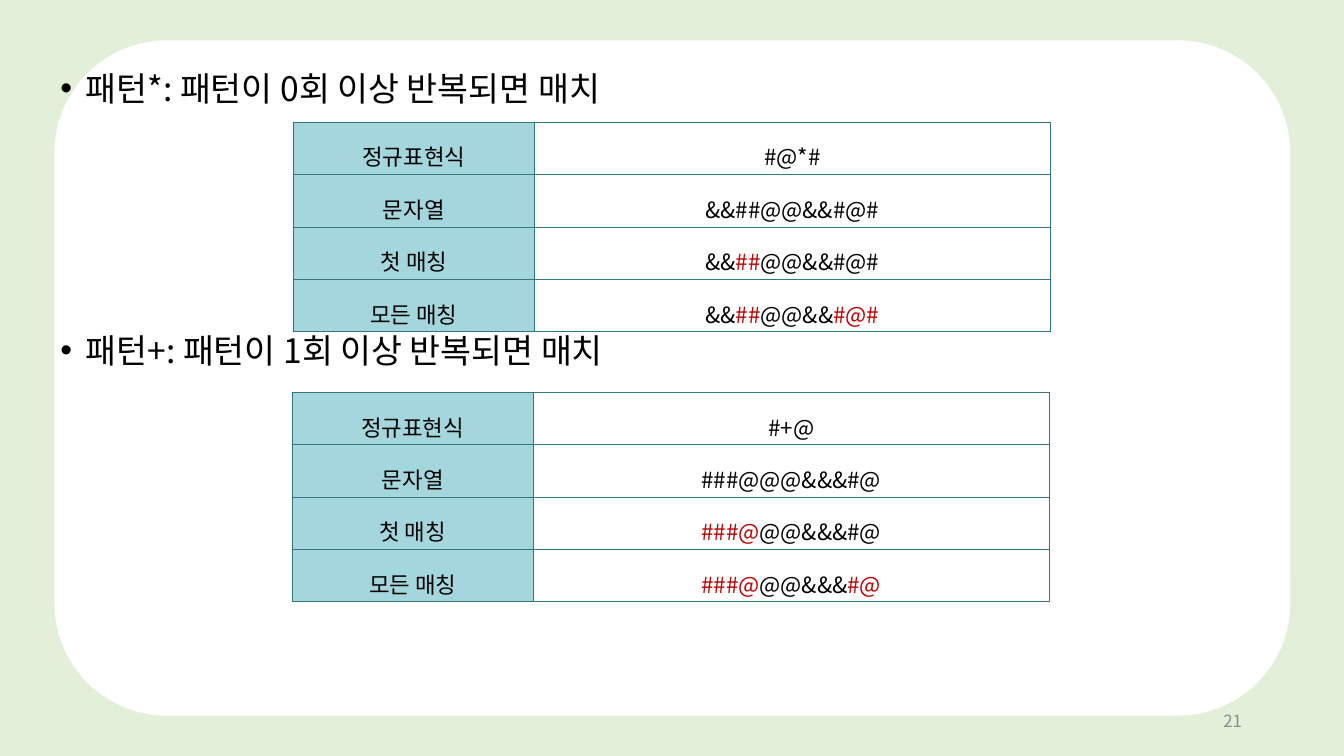
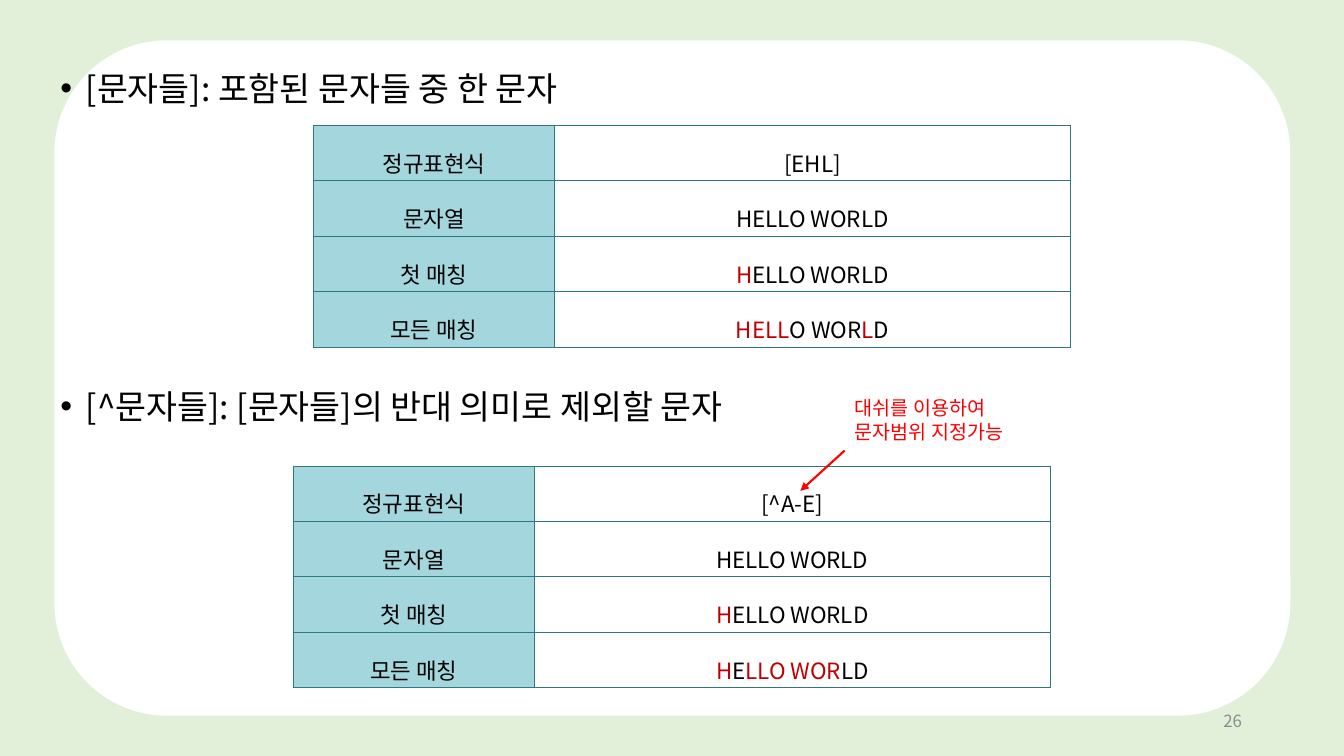
import lxml.etree
import pptx
import pptx.dml.color
import pptx.enum.shapes
import pptx.enum.text
import pptx.oxml.ns
import pptx.util

FONT = "Noto Sans CJK KR"
COLUMNS, ROWS = 40, 30
WIDTH, HEIGHT = pptx.util.Inches(13.33), pptx.util.Inches(7.5)
BLACK, MATCH, NOTE, GRAY = "000000", "C00000", "FF0000", "8C8C8C"
GREEN, WHITE, TEAL, BORDER = "E2F0D9", "FFFFFF", "A3D7DD", "2F7880"
ALIGN = pptx.enum.text.PP_ALIGN
ANCHOR = pptx.enum.text.MSO_ANCHOR
LABELS = ("정규표현식", "문자열", "첫 매칭", "모든 매칭")


def color(value):
    return pptx.dml.color.RGBColor.from_string(value)


def add_xml(parent, tag, **attributes):
    return lxml.etree.SubElement(parent, pptx.oxml.ns.qn(tag), attributes)


def columns(count):
    return round(WIDTH * count / COLUMNS)


def rows(count):
    return round(HEIGHT * count / ROWS)


def grid_box(left, top, width, height):
    return columns(left), rows(top), columns(width), rows(height)


def write(paragraph, text, size=16, ink=BLACK, align=ALIGN.LEFT, spacing=1.0, before=0):
    paragraph.alignment = align
    paragraph.line_spacing = spacing
    paragraph.space_before = pptx.util.Pt(before)
    for part_number, part in enumerate(text.split("|")):
        for line_number, line in enumerate(part.split("\n")):
            if line_number:
                paragraph.add_line_break()
            if not line:
                continue
            run = paragraph.add_run()
            run.text = line
            run.font.size = pptx.util.Pt(size)
            run.font.name = FONT
            run.font.color.rgb = color(MATCH if part_number % 2 else ink)
            add_xml(run.font._element, "a:ea", typeface=FONT)


class Deck:
    def __init__(self):
        self.presentation = pptx.Presentation()
        self.presentation.slide_width = WIDTH
        self.presentation.slide_height = HEIGHT
        self.layout = self.presentation.slide_layouts[1]
        self.layout.background.fill.solid()
        self.layout.background.fill.fore_color.rgb = color(GREEN)
        self.slide = None

    def add_slide(self, number):
        self.slide = self.presentation.slides.add_slide(self.layout)
        title = self.slide.shapes.title.element
        title.getparent().remove(title)
        if len(self.presentation.slides) == 1:
            self.add_panel_to_layout()
        self.add_text(str(number), 28.26, 27.8, 9, 1.6, size=12, ink=GRAY,
                      align=ALIGN.RIGHT, anchor=ANCHOR.MIDDLE)

    def add_panel_to_layout(self):
        panel = self.slide.shapes.add_shape(
            pptx.enum.shapes.MSO_SHAPE.ROUNDED_RECTANGLE, *grid_box(1.62, 1.6, 36.78, 26.8))
        panel.shadow.inherit = False
        panel.fill.solid()
        panel.fill.fore_color.rgb = color(WHITE)
        panel.line.fill.background()
        panel.element.nvSpPr.cNvPr.set("id", "20")
        self.layout.placeholders[0].element.addprevious(panel.element)

    def add_text(self, text, left, top, width, height, anchor=ANCHOR.TOP, wrap=True, **style):
        box = self.slide.shapes.add_textbox(*grid_box(left, top, width, height))
        box.text_frame.word_wrap = wrap
        box.text_frame.vertical_anchor = anchor
        write(box.text_frame.paragraphs[0], text, **style)

    def add_headings(self, first, second, gap):
        body = self.slide.placeholders[1]
        body.left, body.top, body.width, body.height = grid_box(0, 2.76, 36, 19)
        frame = body.text_frame
        frame.auto_size = pptx.enum.text.MSO_AUTO_SIZE.NONE
        frame.vertical_anchor = ANCHOR.TOP
        for paragraph, text, before in (
                (frame.paragraphs[0], first, 0), (frame.add_paragraph(), second, gap)):
            paragraph.level = 1
            write(paragraph, text, size=24, spacing=0.83, before=before)
            properties = paragraph._p.get_or_add_pPr()
            properties.set("marL", str(pptx.util.Inches(0.75)))
            properties.set("indent", str(pptx.util.Inches(-0.25)))
            add_xml(properties, "a:buFont", typeface="Arial")
            add_xml(properties, "a:buChar", char="•")

    def add_match_table(self, left, top, values, row_height, spacing):
        widths = (7.17, 15.36)
        frame = self.slide.shapes.add_table(
            len(LABELS), 2, *grid_box(left, top, sum(widths), row_height * len(LABELS)))
        table = frame.table
        table.first_row = table.horz_banding = False
        for column, width in zip(table.columns, widths):
            column.width = columns(width)
        for row, texts in zip(table.rows, zip(LABELS, values)):
            row.height = rows(row_height)
            for cell, text, fill in zip(row.cells, texts, (TEAL, None)):
                self.format_cell(cell, fill)
                write(cell.text_frame.paragraphs[0], text, align=ALIGN.CENTER, spacing=spacing)

    def format_cell(self, cell, fill):
        cell.vertical_anchor = ANCHOR.MIDDLE
        cell.margin_left = cell.margin_right = pptx.util.Inches(0.09)
        cell.margin_top = cell.margin_bottom = pptx.util.Inches(0.02)
        properties = cell._tc.get_or_add_tcPr()
        for side in ("a:lnL", "a:lnR", "a:lnT", "a:lnB"):
            line = add_xml(properties, side, w=str(pptx.util.Pt(0.28)))
            add_xml(add_xml(line, "a:solidFill"), "a:srgbClr", val=BORDER)
        if fill:
            cell.fill.solid()
            cell.fill.fore_color.rgb = color(fill)
        else:
            cell.fill.background()

    def add_arrow(self, start, end):
        arrow = self.slide.shapes.add_connector(
            pptx.enum.shapes.MSO_CONNECTOR.STRAIGHT,
            columns(start[0]), rows(start[1]), columns(end[0]), rows(end[1]))
        arrow.line.color.rgb = color(NOTE)
        arrow.line.width = pptx.util.Pt(1.5)
        add_xml(arrow.line._get_or_add_ln(), "a:tailEnd", type="triangle")
        add_xml(arrow.element.spPr, "a:effectLst")


def main():
    deck = Deck()

    deck.add_slide(21)
    deck.add_headings("패턴*: 패턴이 0회 이상 반복되면 매치",
                      "패턴+: 패턴이 1회 이상 반복되면 매치", gap=163)
    compact = {"row_height": 2.08, "spacing": 1.5}
    deck.add_match_table(8.73, 4.84, (
        "#@*#", "&&##@@&&#@#", "&&|##|@@&&#@#", "&&|##|@@&&|#@#"), **compact)
    deck.add_match_table(8.7, 15.56, (
        "#+@", "###@@@&&&#@", "|###@|@@&&&#@", "|###@|@@&&&|#@"), **compact)

    deck.add_slide(26)
    deck.add_headings("[문자들]: 포함된 문자들 중 한 문자",
                      "[^문자들]: [문자들]의 반대 의미로 제외할 문자", gap=203)
    roomy = {"row_height": 2.2, "spacing": 1.6}
    deck.add_match_table(9.33, 4.96, (
        "[EHL]", "HELLO WORLD", "|H|ELLO WORLD", "|HELL|O WOR|L|D"), **roomy)
    deck.add_match_table(8.73, 18.48, (
        "[^A-E]", "HELLO WORLD", "|H|ELLO WORLD", "|H|E|LLO WOR|LD"), **roomy)
    deck.add_arrow((25.14, 17.88), (23.82, 19.48))
    deck.add_text("대쉬를 이용하여\n문자범위 지정가능", 25.14, 15.52, 5.52, 2.28,
                  wrap=False, size=14, ink=NOTE)

    deck.presentation.save("out.pptx")


if __name__ == "__main__":
    main()
